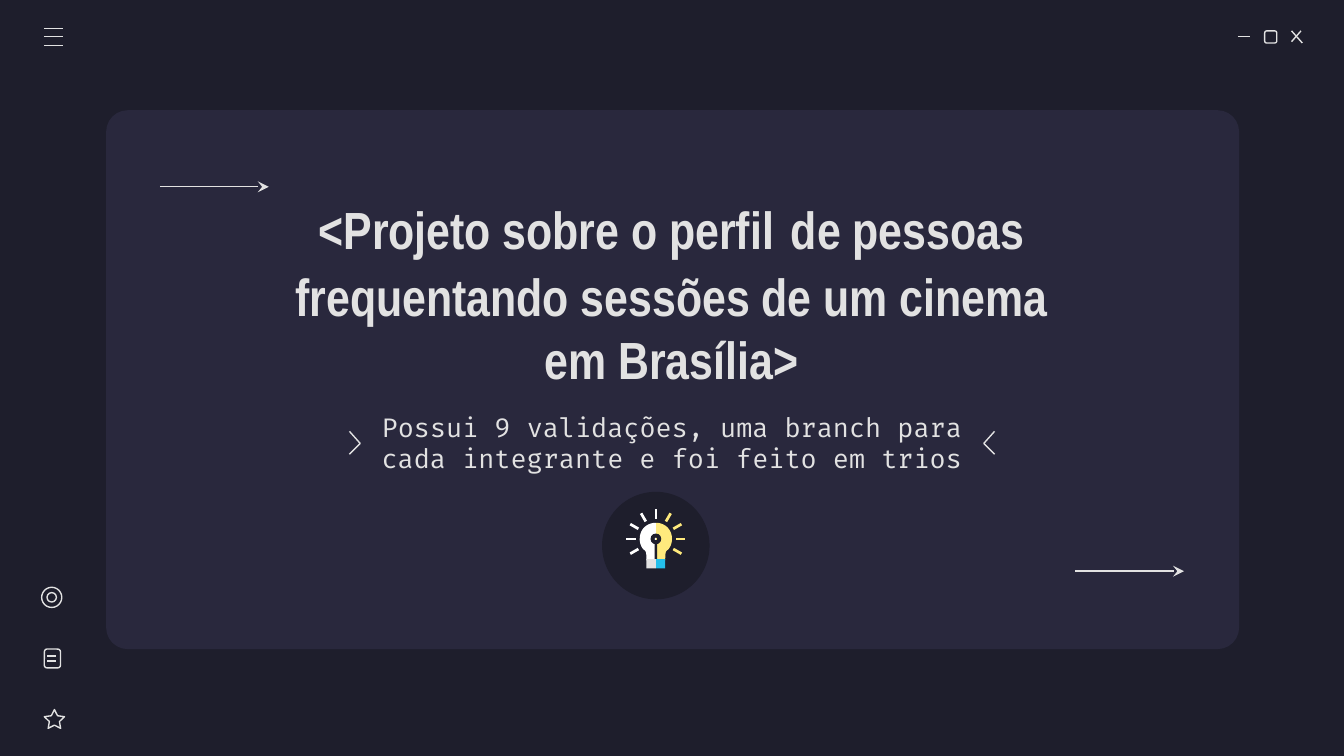
from math import cos, radians, sin

from lxml.etree import SubElement
from pptx import Presentation
from pptx.dml.color import RGBColor
from pptx.enum.shapes import MSO_CONNECTOR, MSO_SHAPE
from pptx.enum.text import MSO_ANCHOR, MSO_AUTO_SIZE, PP_ALIGN
from pptx.oxml.ns import qn
from pptx.util import Inches, Pt

# Content: (text, size) runs
TITLE = [
    ("<Projeto sobre o perfil", "title"),
    (" ", "gap"),
    ("de pessoas frequentando sessões de um cinema em Brasília>", "title"),
]
SUBTITLE = [("Possui 9 validações, uma branch para cada integrante e foi feito em trios", "subtitle")]

THEME = {
    "background": "1E1E2C", "card": "29283D", "light": "E2E2E2",
    "white": "FFFFFF", "yellow": "FFEA7D", "blue": "24BFEB",
    "title": 28, "gap": 40, "subtitle": 14, "line": 0.75,
    "title_font": "Arial Narrow", "subtitle_font": "Fira Code",
}

# Geometry in inches
SLIDE_WIDTH = 10
SLIDE_HEIGHT = SLIDE_WIDTH * 9 / 16
CARD = (0.79, 0.82, 8.43, 4.01)
TITLE_BOX = (1.96, 1.39, 6.07, 1.42)
SUBTITLE_BOX = (2.68, 2.81, 4.64, 0.97)
MENU_ROWS = [0.21, 0.27, 0.34]
NOTE_ROWS = [4.88, 4.92]
WINDOW_LINES = [(9.21, 0.27, 9.3, 0.27), (9.61, 0.23, 9.69, 0.32), (9.68, 0.23, 9.61, 0.31)]
ARROWS = [(1.19, 1.39), (8, 4.25)]
ARROW_LENGTH = 0.81
OUTLINED = [
    (MSO_SHAPE.ROUNDED_RECTANGLE, (9.41, 0.23, 0.09, 0.09)),
    (MSO_SHAPE.OVAL, (0.31, 4.37, 0.15, 0.15)),
    (MSO_SHAPE.OVAL, (0.35, 4.41, 0.07, 0.07)),
    (MSO_SHAPE.ROUNDED_RECTANGLE, (0.33, 4.83, 0.12, 0.14)),
    (MSO_SHAPE.STAR_5_POINT, (0.33, 5.28, 0.15, 0.14)),
]
BULB_X, BULB_Y = 4.88, 4.01
# Bulb outline as cubic curves, offsets from the bulb centre
BULB_CURVES = [
    [(0, -0.12), (0.07, -0.12), (0.12, -0.07), (0.12, 0)],
    [(0.12, 0), (0.12, 0.03), (0.11, 0.06), (0.09, 0.08)],
    [(0.09, 0.08), (0.07, 0.09), (0.07, 0.11), (0.07, 0.16)],
]
RAY_INNER, RAY_OUTER, RAY_WIDTH = 0.15, 0.22, 0.02

presentation = Presentation()
presentation.slide_width, presentation.slide_height = Inches(SLIDE_WIDTH), Inches(SLIDE_HEIGHT)
slide = presentation.slides.add_slide(presentation.slide_layouts[0])
shapes = slide.shapes


def color(name):
    return RGBColor.from_string(THEME[name])


def apply_format(target, values):
    for name, value in values.items():
        setattr(target, name, value)


def paint(shape, fill=None, line=None):
    shape.shadow.inherit = False
    if fill:
        shape.fill.solid()
        shape.fill.fore_color.rgb = color(fill)
    else:
        shape.fill.background()
    if line:
        shape.line.color.rgb = color(line)
        shape.line.width = Pt(THEME["line"])
    else:
        shape.line.fill.background()
    return shape


def add_preset(kind, box, fill=None, line=None):
    return paint(shapes.add_shape(kind, *map(Inches, box)), fill, line)


def add_outline(points, fill=None, line=None, close=True):
    points = [(Inches(x), Inches(y)) for x, y in points]
    builder = shapes.build_freeform(*points[0])
    builder.add_line_segments(points[1:], close=close)
    return paint(builder.convert_to_shape(), fill, line)


def add_line(ends, arrow=False):
    line = shapes.add_connector(MSO_CONNECTOR.STRAIGHT, *map(Inches, ends))
    line.line.color.rgb = color("light")
    line.line.width = Pt(THEME["line"])
    properties = line._element.spPr
    if arrow:
        SubElement(properties.find(qn("a:ln")), qn("a:tailEnd"), type="stealth")
    SubElement(properties, qn("a:effectLst"))


def fill_placeholder(shape, box, runs, font, bold):
    apply_format(shape, dict(zip(("left", "top", "width", "height"), map(Inches, box))))
    frame = shape.text_frame
    apply_format(frame, {
        "word_wrap": True, "auto_size": MSO_AUTO_SIZE.NONE, "vertical_anchor": MSO_ANCHOR.MIDDLE,
        **{f"margin_{side}": Inches(0.1) for side in ("left", "top", "right", "bottom")},
    })
    paragraph = frame.paragraphs[0]
    apply_format(paragraph, {"alignment": PP_ALIGN.CENTER, "space_before": Pt(0), "line_spacing": 1.0})
    for text, size in runs:
        run = paragraph.add_run()
        run.text = text
        apply_format(run.font, {"name": font, "size": Pt(THEME[size]), "bold": bold})
        run.font.color.rgb = color("light")


def curve_points(curve, steps=10):
    for step in range(steps + 1):
        t = step / steps
        weights = ((1 - t) ** 3, 3 * t * (1 - t) ** 2, 3 * t * t * (1 - t), t ** 3)
        yield tuple(sum(w * point[axis] for w, point in zip(weights, curve)) for axis in (0, 1))


def add_ray(angle, fill):
    dx, dy = cos(radians(angle)), -sin(radians(angle))
    half = RAY_WIDTH / 2
    corners = [(RAY_INNER, -half), (RAY_OUTER, -half), (RAY_OUTER, half), (RAY_INNER, half)]
    add_outline([(BULB_X + r * dx - s * dy, BULB_Y + r * dy + s * dx) for r, s in corners], fill)


# Background, and the card behind the text
slide.background.fill.solid()
slide.background.fill.fore_color.rgb = color("background")
card = add_preset(MSO_SHAPE.ROUNDED_RECTANGLE, CARD, "card")
card.adjustments[0] = 0.04
shapes.title._element.addprevious(card._element)

# Title and subtitle
fill_placeholder(shapes.title, TITLE_BOX, TITLE, THEME["title_font"], True)
fill_placeholder(slide.placeholders[1], SUBTITLE_BOX, SUBTITLE, THEME["subtitle_font"], False)

# Window buttons, menu and side icons
for kind, box in OUTLINED:
    icon = add_preset(kind, box, line="light")
    if kind == MSO_SHAPE.STAR_5_POINT:
        icon.adjustments[0] = 0.25
for ends in WINDOW_LINES:
    add_line(ends)
for y in MENU_ROWS:
    add_line((0.33, y, 0.47, y))
for y in NOTE_ROWS:
    add_line((0.35, y, 0.42, y))

# Chevrons around the subtitle, and arrows
for outer, tip in ((2.6, 2.68), (7.4, 7.32)):
    add_outline([(outer, 3.21), (tip, 3.3), (outer, 3.38)], line="light", close=False)
for x, y in ARROWS:
    add_line((x, y, x + ARROW_LENGTH, y), arrow=True)

# Light bulb: disc, two halves, rays, filament and base
add_preset(MSO_SHAPE.OVAL, (4.48, 3.66, 0.8, 0.8), "background")
half_outline = [point for curve in BULB_CURVES for point in curve_points(curve)] + [(0, 0.16)]
for side, fill in ((1, "yellow"), (-1, "white")):
    add_outline([(BULB_X + side * x, BULB_Y + y) for x, y in half_outline], fill)
for angle in range(-30, 211, 30):
    add_ray(angle, "yellow" if angle < 90 else "white")
ring = add_preset(MSO_SHAPE.DONUT, (BULB_X - 0.04, BULB_Y - 0.04, 0.08, 0.08), "background")
ring.adjustments[0] = 0.38
add_preset(MSO_SHAPE.RECTANGLE, (BULB_X - 0.01, BULB_Y + 0.03, 0.02, 0.13), "background")
for x, fill in ((BULB_X, "blue"), (BULB_X - 0.07, "light")):
    add_preset(MSO_SHAPE.RECTANGLE, (x, 4.16, 0.07, 0.07), fill)

presentation.save("out.pptx")
